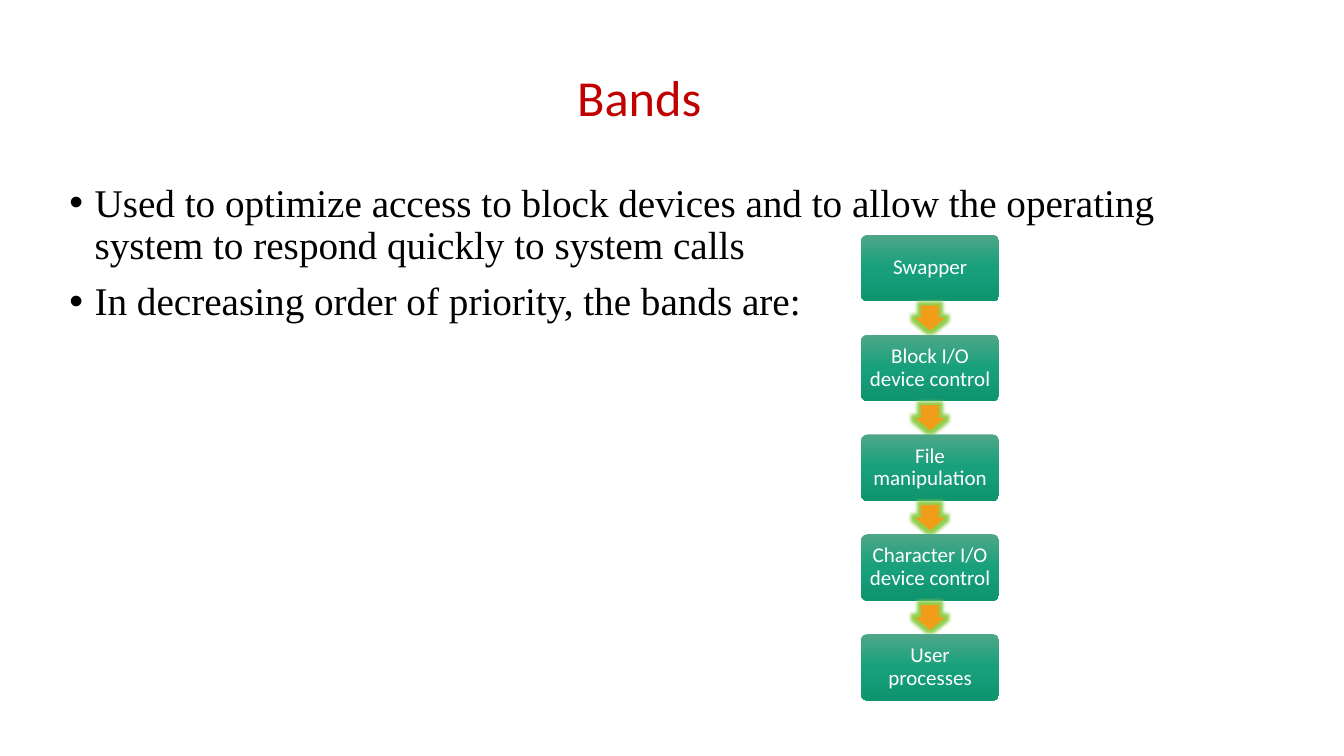
from copy import deepcopy

from lxml import etree
from pptx import Presentation
from pptx.dml.color import RGBColor
from pptx.enum.shapes import MSO_SHAPE
from pptx.enum.text import MSO_ANCHOR, PP_ALIGN
from pptx.oxml import parse_xml
from pptx.oxml.ns import qn
from pptx.util import Inches, Pt

BOX, ARROW = MSO_SHAPE.ROUNDED_RECTANGLE, MSO_SHAPE.DOWN_ARROW
MIDDLE, CENTER = MSO_ANCHOR.MIDDLE, PP_ALIGN.CENTER
NS = "http://schemas.openxmlformats.org/drawingml/2006/main"

COLORS = {"title": "C00000", "body": "000000", "label": "FFFFFF",
          "top": "4EA788", "mid": "17A07B", "low": "0F9470",
          "arrow": "F19D19", "glow": "92D050"}
FORMATS = {"title": {"name": "Calibri", "size": Pt(36)},
           "body": {"name": "Times New Roman", "size": Pt(28)},
           "label": {"name": "Calibri", "size": Pt(15)}}
POINTS = ["Used to optimize access to block devices and to allow the operating "
          "system to respond quickly to system calls",
          "In decreasing order of priority, the bands are:"]
BANDS = ["Swapper", "Block I/O device control", "File manipulation",
         "Character I/O device control", "User processes"]


def write(par, text, kind):
    run = par.add_run()
    run.text = text
    for key, value in FORMATS[kind].items():
        setattr(run.font, key, value)
    run.font.color.rgb = RGBColor.from_string(COLORS[kind])
    par.line_spacing = 0.9


def place(kind, left, top, width, height):
    shape = slide.shapes.add_shape(kind, Inches(left), Inches(top),
                                   Inches(width), Inches(height))
    shape.shadow.inherit = False
    shape.line.fill.background()
    return shape


deck = Presentation()
deck.slide_width, deck.slide_height = Inches(13.33), Inches(7.5)
slide = deck.slides.add_slide(deck.slide_layouts[5])

# Title
title = slide.shapes.title
title.left, title.top = Inches(0.59), Inches(0.4)
title.width, title.height = Inches(11.5), Inches(1.19)
title.text_frame.vertical_anchor = MIDDLE
head = title.text_frame.paragraphs[0]
head.alignment = CENTER
write(head, "Bands", "title")

# Bullet list
body = slide.shapes.add_textbox(Inches(0.59), Inches(1.77),
                                Inches(11.5), Inches(4.79)).text_frame
body.word_wrap = True
for i, point in enumerate(POINTS):
    par = body.add_paragraph() if i else body.paragraphs[0]
    write(par, point, "body")
    par.space_before = Pt(10)
    props = par._p.get_or_add_pPr()
    props.set("marL", str(Inches(0.25)))
    props.set("indent", str(-Inches(0.25)))
    etree.SubElement(props, qn("a:buFont")).set("typeface", "Arial")
    etree.SubElement(props, qn("a:buChar")).set("char", "•")

# Chain of bands, highest priority first
left, top, width, height, pitch = 8.54, 2.33, 1.37, 0.66, 0.99
wide, tall = 0.3, 0.25
for i, band in enumerate(BANDS):
    y = top + i * pitch
    box = place(BOX, left, y, width, height)
    box.adjustments[0] = 0.1
    box.fill.gradient()
    box.fill.gradient_angle = 270
    stops = box.fill._fill._gradFill.gsLst
    stops.insert(1, deepcopy(stops[0]))
    for n, (stop, name) in enumerate(zip(box.fill.gradient_stops,
                                         ["top", "mid", "low"])):
        stop.position = n / 2
        stop.color.rgb = RGBColor.from_string(COLORS[name])
    frame = box.text_frame
    frame.word_wrap = True
    frame.vertical_anchor = MIDDLE
    for side in ["left", "right", "top", "bottom"]:
        setattr(frame, "margin_" + side, Inches(0.06))
    frame.paragraphs[0].alignment = CENTER
    write(frame.paragraphs[0], band, "label")

    # Glowing arrow in the gap below
    if i < len(BANDS) - 1:
        gap = pitch - height
        arrow = place(ARROW, left + (width - wide) / 2,
                      y + height + (gap - tall) / 2, wide, tall)
        arrow.adjustments[0], arrow.adjustments[1] = 0.6, 0.5
        arrow.fill.solid()
        arrow.fill.fore_color.rgb = RGBColor.from_string(COLORS["arrow"])
        arrow._element.spPr.find(qn("a:effectLst")).append(parse_xml(
            f'<a:glow xmlns:a="{NS}" rad="{Pt(5)}">'
            f'<a:srgbClr val="{COLORS["glow"]}"/></a:glow>'))

deck.save("out.pptx")
